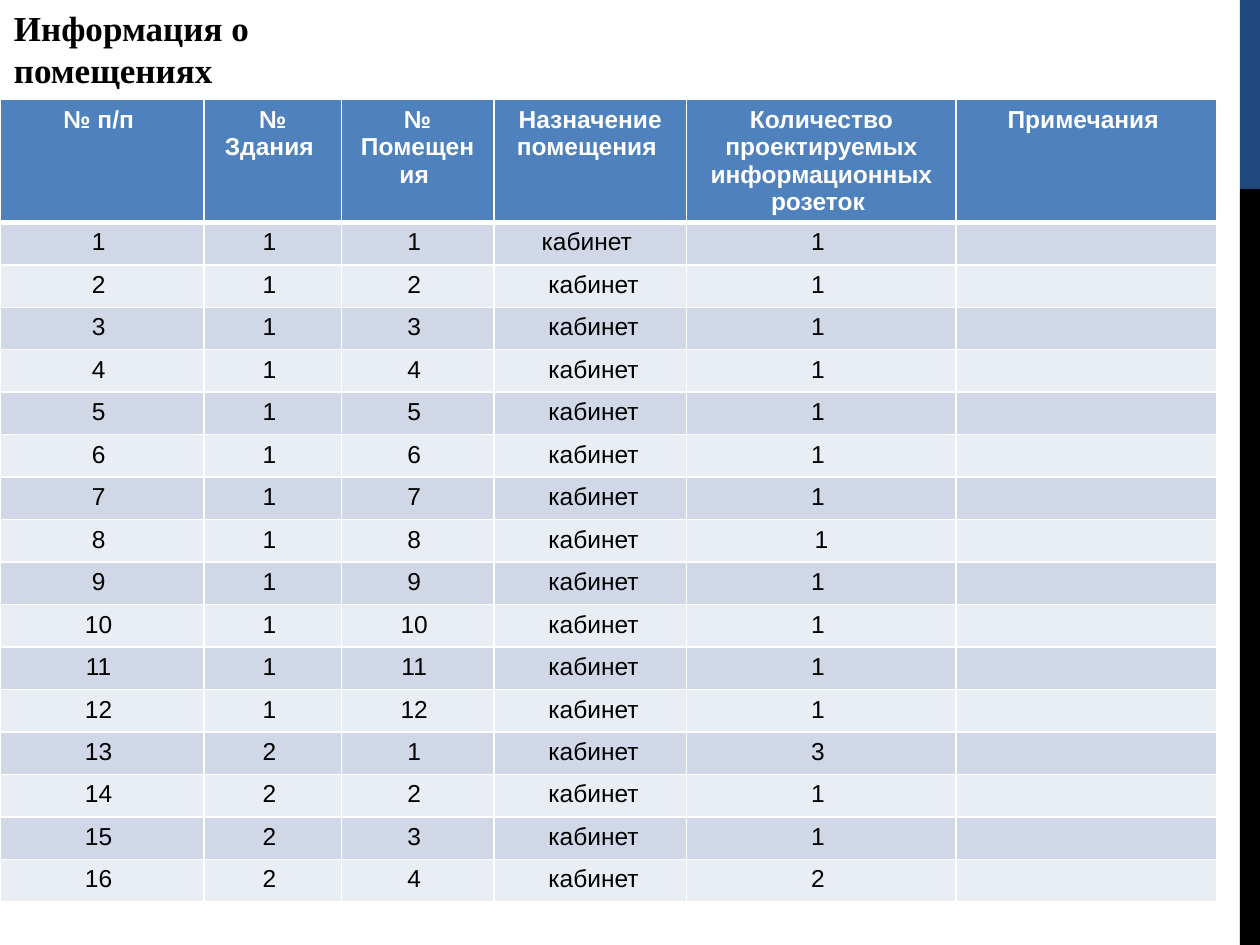
from lxml import etree
from pptx import Presentation
from pptx.dml.color import RGBColor
from pptx.enum.shapes import MSO_SHAPE
from pptx.enum.text import MSO_ANCHOR, MSO_AUTO_SIZE, PP_ALIGN
from pptx.oxml.ns import qn
from pptx.util import Inches, Pt

RECT = MSO_SHAPE.RECTANGLE
TOP = MSO_ANCHOR.TOP
NO_FIT = MSO_AUTO_SIZE.NONE
LEFT, CENTER = PP_ALIGN.LEFT, PP_ALIGN.CENTER
NBSP = "\u00a0"


def rgb(value):
    return RGBColor.from_string(value)


def set_borders(cell, bottom):
    tc_pr = cell._tc.get_or_add_tcPr()
    widths = [("a:lnL", 1), ("a:lnR", 1), ("a:lnT", 1), ("a:lnB", bottom)]
    for i, (tag, width) in enumerate(widths):
        ln = etree.Element(qn(tag), w=str(Pt(width)))
        fill = etree.SubElement(ln, qn("a:solidFill"))
        etree.SubElement(fill, qn("a:srgbClr"), val="FFFFFF")
        tc_pr.insert(i, ln)


prs = Presentation()
prs.slide_width, prs.slide_height = Inches(10), Inches(7.5)
s = prs.slides.add_slide(prs.slide_layouts[5])

for top, height, color in [(0, 1.5, "1F497D"), (1.5, 6, "000000")]:
    sp = s.shapes.add_shape(RECT, Inches(9.84), Inches(top), Inches(0.16), Inches(height))
    sp.shadow.inherit = False
    sp.fill.solid()
    sp.fill.fore_color.rgb = rgb(color)
    sp.line.fill.background()

title = s.shapes.title
title.left, title.top = Inches(0.01), Inches(0)
title.width, title.height = Inches(3), Inches(0.77)
tf = title.text_frame
tf.word_wrap = True
tf.auto_size = NO_FIT
tf.vertical_anchor = TOP
p = tf.paragraphs[0]
p.alignment = LEFT
r = p.add_run()
r.text = "Информация о помещениях" + NBSP
r.font.size = Pt(20)
r.font.name = "Times New Roman"
r.font.bold = True
r.font.color.rgb = rgb("000000")

headers = ["№" + NBSP + "п/п", "№ Здания", "№ Помещения", "Назначение помещения",
           "Количество проектируемых информационных розеток", "Примечания"]
rows = [[text + NBSP for text in headers]]
sockets = {13: 3, 16: 2}
for n in range(1, 17):
    building, room = (1, n) if n <= 12 else (2, n - 12)
    purpose = "кабинет" + NBSP if n == 1 else NBSP + "кабинет"
    count = f"{sockets.get(n, 1)}{NBSP}"
    if n == 8:
        count = NBSP + count
    rows.append([f"{n}{NBSP}", f"{building}{NBSP}", f"{room}{NBSP}", purpose, count, ""])

col_widths = [1.62, 1.09, 1.21, 1.53, 2.14, 2.07]
header_height, row_height = 0.97, 0.32
table = s.shapes.add_table(len(rows), len(col_widths), Inches(0), Inches(0.79), Inches(9.66),
                           Inches(header_height + 16 * row_height)).table
for col, width in zip(table.columns, col_widths):
    col.width = Inches(width)

for i, row in enumerate(rows):
    header = i == 0
    table.rows[i].height = Inches(header_height if header else row_height)
    fill = "4F81BD" if header else ("E9EDF4", "D0D8E8")[i % 2]
    for j, text in enumerate(row):
        cell = table.cell(i, j)
        cell.fill.solid()
        cell.fill.fore_color.rgb = rgb(fill)
        set_borders(cell, 3 if header else 1)
        p = cell.text_frame.paragraphs[0]
        p.alignment = CENTER
        if not text:
            etree.SubElement(p._p, qn("a:endParaRPr"), sz="1400")
            continue
        r = p.add_run()
        r.text = text
        r.font.size = Pt(14)
        r.font.name = "Arial"
        r.font.bold = header
        r.font.color.rgb = rgb("FFFFFF" if header else "000000")

prs.save("out.pptx")
